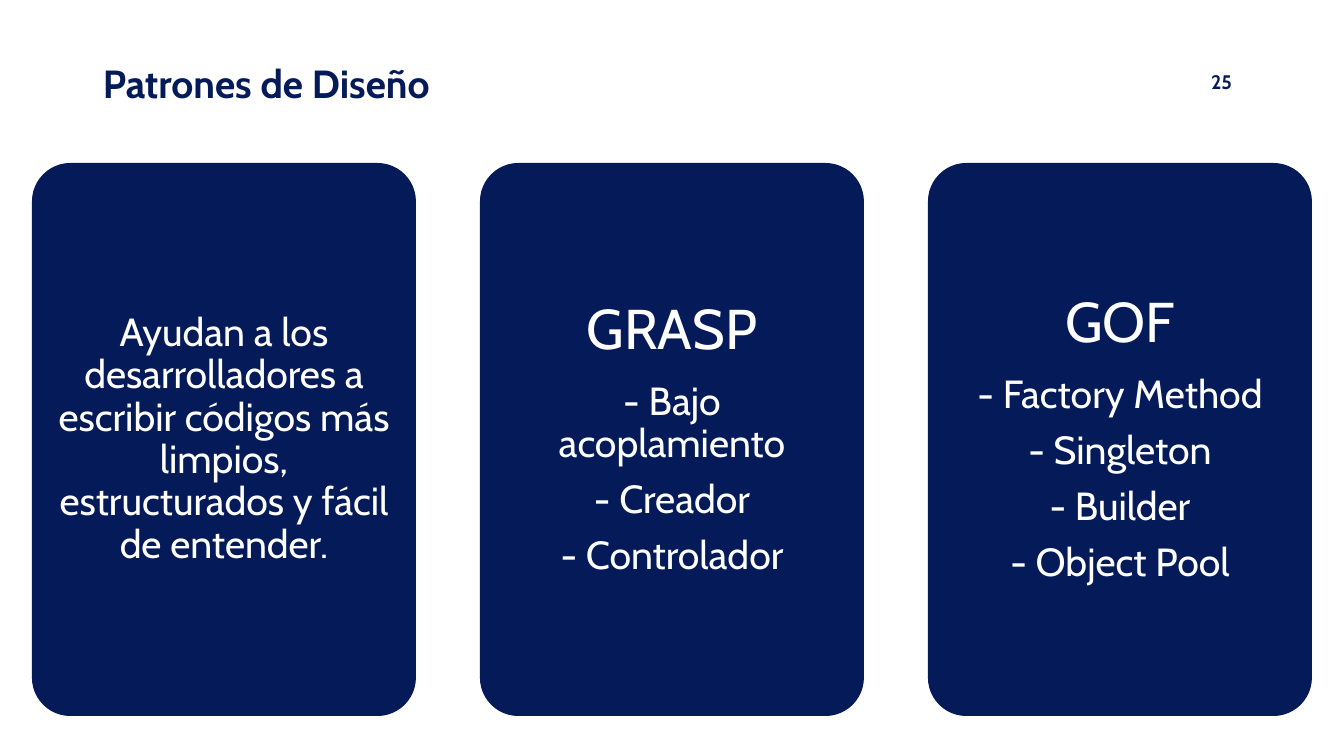
from pptx import Presentation
from pptx.dml.color import RGBColor
from pptx.enum.shapes import MSO_SHAPE
from pptx.enum.text import MSO_ANCHOR, MSO_AUTO_SIZE, PP_ALIGN
from pptx.util import Emu, Pt

ROUNDED = MSO_SHAPE.ROUNDED_RECTANGLE
TOP, MIDDLE = MSO_ANCHOR.TOP, MSO_ANCHOR.MIDDLE
LEFT, CENTER, RIGHT = PP_ALIGN.LEFT, PP_ALIGN.CENTER, PP_ALIGN.RIGHT
NO_FIT = MSO_AUTO_SIZE.NONE
TITLE_ONLY = 5
COLORS = {"navy": "041A59", "white": "FFFFFF"}


def px(value):
    return Emu(round(value * 914400 / 100.8))


class SlideBuilder:
    font = "Cabin"
    heading_size = 40
    body_size = 28
    number_size = 14
    line_spacing = 0.9
    space_ratio = 0.35

    def __init__(self, presentation):
        self.slide = presentation.slides.add_slide(presentation.slide_layouts[TITLE_ONLY])

    def color(self, name):
        return RGBColor.from_string(COLORS[name])

    def place(self, shape, left, top, width, height):
        shape.left, shape.top = px(left), px(top)
        shape.width, shape.height = px(width), px(height)

    def frame(self, shape, anchor, inset_x, inset_y):
        frame = shape.text_frame
        frame.word_wrap = True
        frame.auto_size = NO_FIT
        frame.vertical_anchor = anchor
        frame.margin_left = frame.margin_right = px(inset_x)
        frame.margin_top = frame.margin_bottom = px(inset_y)
        return frame

    def add_text(self, paragraph, text, size, color, align, bold=False):
        paragraph.alignment = align
        run = paragraph.add_run()
        run.text = text
        run.font.name = self.font
        run.font.size = Pt(size)
        run.font.bold = bold
        run.font.color.rgb = self.color(color)

    def title(self, text, *box):
        shape = self.slide.shapes.title
        self.place(shape, *box)
        paragraph = self.frame(shape, MIDDLE, 10, 5).paragraphs[0]
        paragraph.line_spacing = self.line_spacing
        self.add_text(paragraph, text, self.body_size, "navy", LEFT, True)

    def page_number(self, text, *box):
        shape = self.slide.shapes.add_textbox(*map(px, box))
        paragraph = self.frame(shape, TOP, 10, 5).paragraphs[0]
        self.add_text(paragraph, text, self.number_size, "navy", RIGHT, True)

    def card(self, lines, inset, *box):
        shape = self.slide.shapes.add_shape(ROUNDED, *map(px, box))
        shape.adjustments[0] = 0.1
        shape.shadow.inherit = False
        shape.fill.solid()
        shape.fill.fore_color.rgb = self.color("navy")
        shape.line.fill.background()
        frame = self.frame(shape, MIDDLE, inset, inset)
        for index, (text, size) in enumerate(lines):
            paragraph = frame.add_paragraph() if index else frame.paragraphs[0]
            paragraph.line_spacing = self.line_spacing
            paragraph.space_after = Pt(size * self.space_ratio)
            self.add_text(paragraph, text, size, "white", CENTER)


def main():
    presentation = Presentation()
    presentation.slide_width, presentation.slide_height = px(1344), px(756)
    builder = SlideBuilder(presentation)
    builder.page_number("25", 940, 65, 302, 40)
    builder.title("Patrones de Diseño", 93, 40, 830, 91)

    cards = [
        (None, ["Ayudan a los desarrolladores a escribir códigos más limpios, "
                "estructurados y fácil de entender."], 12),
        ("GRASP", ["- Bajo acoplamiento", "- Creador", "- Controlador"], 17),
        ("GOF", ["- Factory Method", "- Singleton", "- Builder", "- Object Pool"], 17),
    ]
    for index, (heading, items, inset) in enumerate(cards):
        lines = [(heading, builder.heading_size)] if heading else []
        lines += [(item, builder.body_size) for item in items]
        builder.card(lines, inset, 32 + 448 * index, 163, 384, 553)

    presentation.save("out.pptx")


if __name__ == "__main__":
    main()
